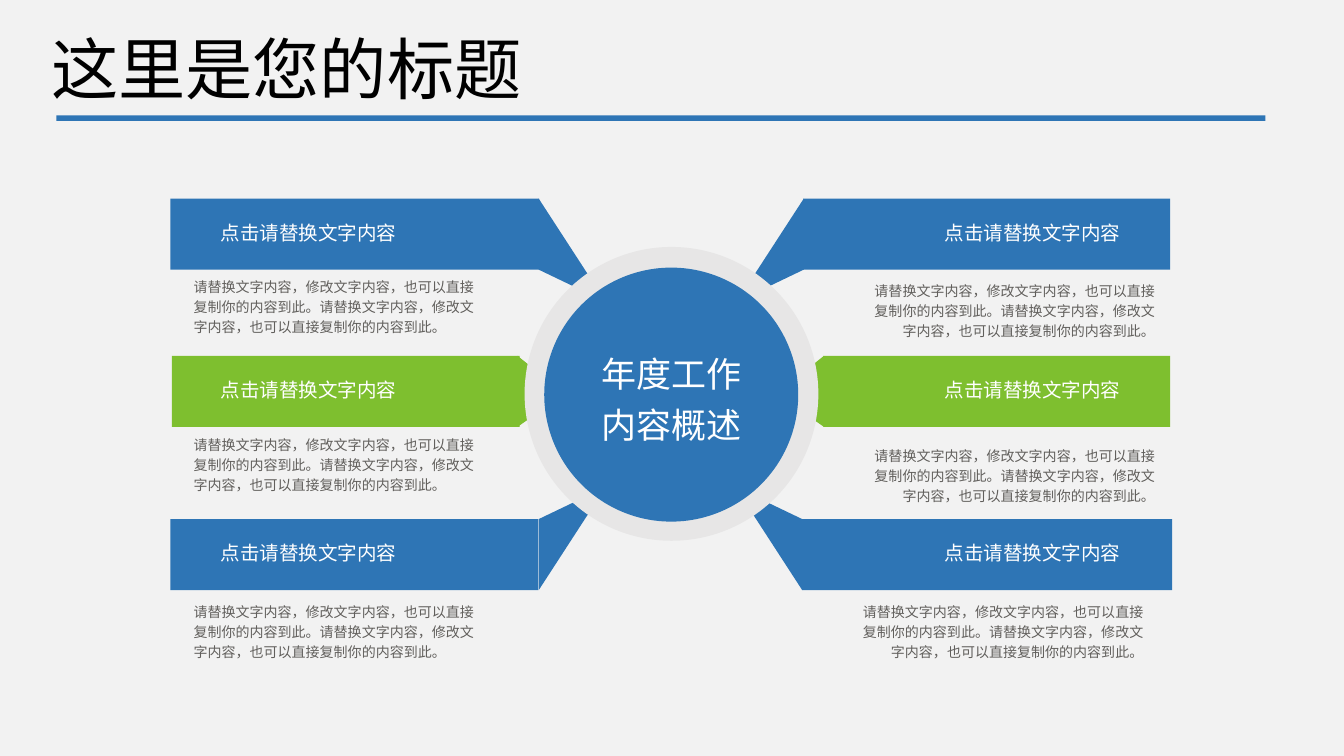
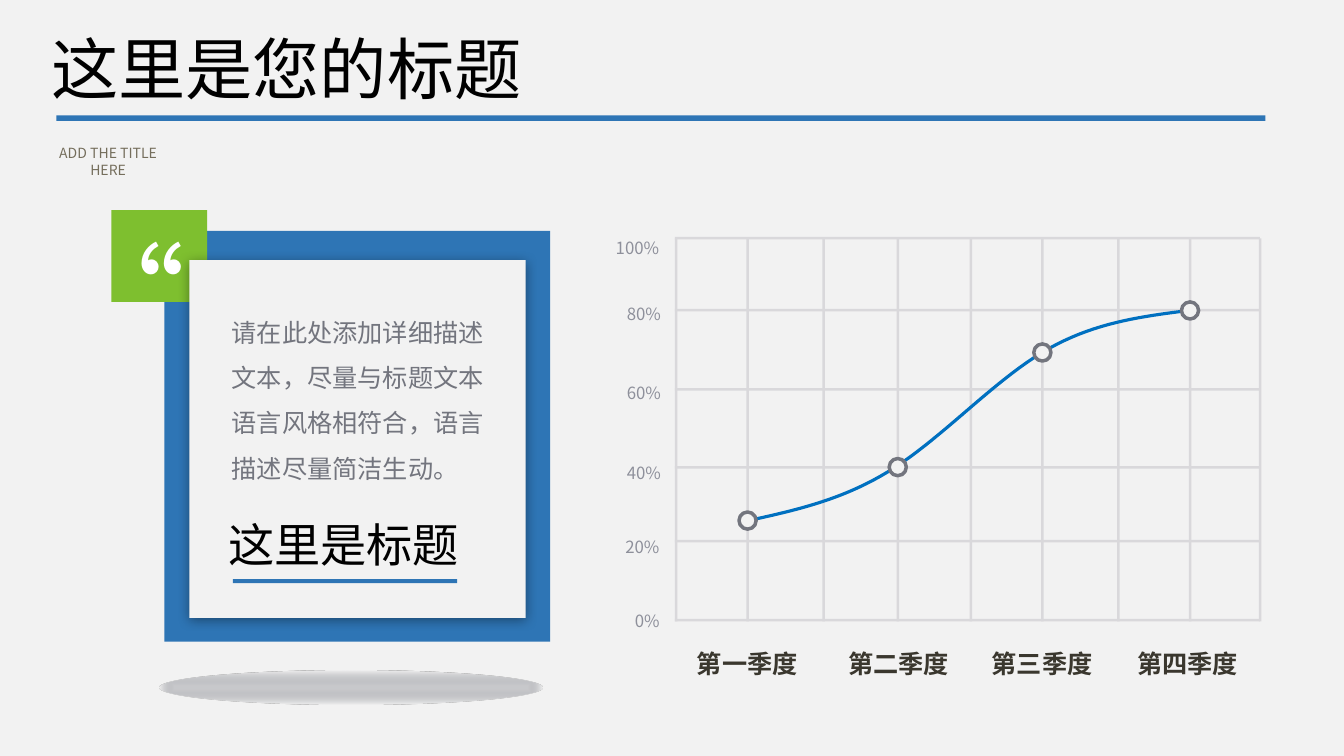
from lxml import etree
from pptx import Presentation
from pptx.chart.data import CategoryChartData
from pptx.dml.color import RGBColor
from pptx.enum import chart as ch, lang, shapes, text
from pptx.oxml import ns
from pptx.util import Inches, Pt

FONT = "Noto Sans CJK SC"
HUES = {
    "back": "F2F2F2", "blue": "2E75B5", "green": "7EBF2F", "ring": "E7E6E6",
    "white": "FFFFFF", "black": "000000", "body": "615F5C", "tag": "756E5C",
    "slate": "73757E", "grid": "D9D8DB", "scale": "8E909B", "term": "3A372E",
    "curve": "0070C0",
}
TITLE = "这里是您的标题"

LABEL = "点击请替换文字内容"
BODY = "请替换文字内容，修改文字内容，也可以直接复制你的内容到此。" * 2
HUB = ["年度工作", "内容概述"]
BAND_H = 1.41
STEEP = [(10.69, 0), (11.82, 1.74), (11.67, 1.88), (10.69, BAND_H)]
BLUNT = [(10.27, 0), (11.03, 0.61), (11.03, 0.88), (10.27, BAND_H)]
RISING = [(x, BAND_H - y) for x, y in STEEP]
ROWS = [
    {"top": 3.94, "hue": "blue", "tip": STEEP, "axis": 26.64,
     "band": {"l": (3.38, 10.7), "r": (15.94, 23.22)},
     "note": {"l": (3.84, 5.57), "r": (17.09, 5.65)}},
    {"top": 7.06, "hue": "green", "tip": BLUNT, "axis": 26.62,
     "band": {"l": (3.41, 10.31), "r": (16.34, 23.22)},
     "note": {"l": (3.84, 8.7), "r": (17.09, 8.92)}},
    {"top": 10.3, "hue": "blue", "tip": RISING, "axis": 26.61,
     "band": {"l": (3.38, 10.68), "r": (15.92, 23.26)},
     "note": {"l": (3.84, 12.02), "r": (16.86, 12.02)}},
]

TAG = "ADD THE TITLE HERE"
QUOTE = "请在此处添加详细描述文本，尽量与标题文本语言风格相符合，语言描述尽量简洁生动。"
NAME = "这里是标题"
TERMS = [
    ("第一季度", 0.26, 13.73), ("第二季度", 0.4, 16.73),
    ("第三季度", 0.7, 19.58), ("第四季度", 0.81, 22.47),
]
SCALE = [
    ("100%", 12.12, 4.47), ("80%", 12.34, 5.78), ("60%", 12.34, 7.35),
    ("40%", 12.34, 8.93), ("20%", 12.31, 10.4), ("0%", 12.5, 11.86),
]
LEVELS = [4.7, 6.13, 7.7, 9.25, 10.71, 12.28]
COLUMNS = [13.39, 14.81, 16.32, 17.79, 19.24, 20.66, 22.17, 23.59, 24.98]
RULE = 0.05
FRAME = (13.0, 4.3, 12.4, 8.4)
PLOT = (13.4, 4.72, 11.65, 7.58)
DOT = 0.34

ALIGN = {"l": text.PP_ALIGN.LEFT, "c": text.PP_ALIGN.CENTER, "r": text.PP_ALIGN.RIGHT}
ANCHOR = {"t": text.MSO_ANCHOR.TOP, "m": text.MSO_ANCHOR.MIDDLE}
KIND = shapes.MSO_SHAPE


def hue(key):
    return RGBColor.from_string(HUES[key])


def lens(at):
    return [Inches(v) for v in at]


def write(box, words, size, color, align="l", anchor="t", pad=(0, 0), gap=1, wrap=True, bold=False):
    frame = box.text_frame
    frame.word_wrap = wrap
    frame.auto_size = text.MSO_AUTO_SIZE.NONE
    frame.vertical_anchor = ANCHOR[anchor]
    frame.margin_left = frame.margin_right = Inches(pad[0])
    frame.margin_top = frame.margin_bottom = Inches(pad[1])
    lines = [words] if isinstance(words, str) else words
    for n, line in enumerate(lines):
        para = frame.add_paragraph() if n else frame.paragraphs[0]
        para.alignment = ALIGN[align]
        para.line_spacing = gap
        para.space_before = Pt(0)
        run = para.add_run()
        run.text = line
        font = run.font
        font.name, font.size, font.bold = FONT, Pt(size), bold
        font.color.rgb = hue(color)
        font.language_id = lang.MSO_LANGUAGE_ID.SIMPLIFIED_CHINESE
        face = font._element.find(ns.qn("a:latin"))
        face.addnext(etree.Element(ns.qn("a:ea"), typeface=FONT))


def label(slide, at, words, **form):
    write(slide.shapes.add_textbox(*lens(at)), words, **form)


def paint(shape, fill):
    shape.shadow.inherit = False
    shape.fill.solid()
    shape.fill.fore_color.rgb = hue(fill)
    shape.line.fill.background()
    return shape


def block(slide, at, fill, kind=KIND.RECTANGLE):
    return paint(slide.shapes.add_shape(kind, *lens(at)), fill)


def outline(slide, points, fill):
    spots = [lens(p) for p in points]
    pen = slide.shapes.build_freeform(*spots[0])
    pen.add_line_segments(spots[1:], close=True)
    return paint(pen.convert_to_shape(), fill)


def base(deck):
    slide = deck.slides.add_slide(deck.slide_layouts[5])
    title = slide.shapes.title
    title.left, title.top, title.width, title.height = lens((0.95, 0.62, 9.46, 1.45))
    write(title, TITLE, 96, "black", align="c", anchor="m", pad=(0.06, 0.06), wrap=False)
    block(slide, (1.12, 2.29, 23.99, 0.11), "blue")
    return slide


def side(slide, row, align):
    right = align == "r"
    top = row["top"]
    start, end = row["band"][align]
    block(slide, (start, top, end - start, BAND_H), row["hue"])
    tip = [(row["axis"] - x if right else x, top + y) for x, y in row["tip"]]
    outline(slide, tip, row["hue"])
    label(slide, (16.51 if right else 4.38, top + 0.39, 5.72, 0.5), LABEL,
          size=27.9, color="white", align=align, gap=1.1)
    label(slide, (*row["note"][align], 5.83 if right else 5.72, 0.98), BODY,
          size=20, color="body", align=align, anchor="m", gap=1.2)


def summary(deck):
    slide = base(deck)
    for align in "lr":
        for row in ROWS:
            side(slide, row, align)
    block(slide, (10.41, 4.9, 5.83, 5.83), "ring", KIND.OVAL)
    block(slide, (10.8, 5.31, 5.04, 5.04), "blue", KIND.OVAL)
    label(slide, (11.55, 6.97, 3.57, 1.72), HUB, size=50, color="white",
          align="c", anchor="m", pad=(0.09, 0.09), gap=1.2)


def glow(shape):
    old = shape.element.spPr.find(ns.qn("a:solidFill"))
    old.addnext(etree.fromstring(
        f'<a:gradFill {ns.nsdecls("a")}><a:gsLst>'
        f'<a:gs pos="11000"><a:srgbClr val="{HUES["slate"]}"><a:alpha val="33000"/></a:srgbClr></a:gs>'
        f'<a:gs pos="100000"><a:srgbClr val="{HUES["back"]}"/></a:gs></a:gsLst>'
        '<a:path path="shape"><a:fillToRect l="50000" t="50000" r="50000" b="50000"/></a:path>'
        '</a:gradFill>'))
    shape.element.spPr.remove(old)


def shade(shape):
    fx = shape.element.spPr.find(ns.qn("a:effectLst"))
    fx.append(etree.fromstring(
        f'<a:outerShdw {ns.nsdecls("a")} blurRad="{Pt(17)}" dist="{Pt(3)}" dir="5400000" '
        f'algn="ctr" rotWithShape="0"><a:srgbClr val="{HUES["black"]}">'
        '<a:alpha val="40000"/></a:srgbClr></a:outerShdw>'))


def card(slide):
    block(slide, (3.26, 4.58, 7.66, 8.15), "blue")
    block(slide, (2.21, 4.17, 1.9, 1.82), "green")
    label(slide, (1.32, 4.37, 2.44, 2.91), "“", size=166, color="white",
          align="c", anchor="m", pad=(0.06, 0.06), wrap=False)
    glow(block(slide, (3.16, 13.31, 7.6, 0.67), "slate", KIND.OVAL))
    shade(block(slide, (3.76, 5.16, 6.67, 7.1), "back"))
    label(slide, (4.45, 10.19, 4.74, 1.22), NAME, size=66, color="black",
          align="c", anchor="m", pad=(0.06, 0.06), wrap=False)
    block(slide, (4.62, 11.49, 4.45, 0.08), "blue")
    label(slide, (4.5, 5.94, 5.48, 3.74), QUOTE, size=36, color="slate",
          pad=(0.1, 0.05), gap=1.5)


def stroke(line, color, width):
    line.color.rgb = hue(color)
    line.width = Pt(width)


def clear():
    return etree.fromstring(
        f'<c:spPr {ns.nsdecls("c", "a")}><a:noFill/><a:ln><a:noFill/></a:ln></c:spPr>')


def fit(chart):
    root = chart.element
    area = root.find(".//" + ns.qn("c:plotArea"))
    old = area.find(ns.qn("c:layout"))
    if old is not None:
        area.remove(old)
    left, top, wide, high = FRAME
    x, y, w, h = PLOT
    parts = {"x": (x - left) / wide, "y": (y - top) / high, "w": w / wide, "h": h / high}
    tags = "".join(f'<c:{k} val="{v:.4f}"/>' for k, v in parts.items())
    area.insert(0, etree.fromstring(
        f'<c:layout {ns.nsdecls("c")}><c:manualLayout><c:layoutTarget val="inner"/>'
        f'<c:xMode val="edge"/><c:yMode val="edge"/>{tags}</c:manualLayout></c:layout>'))
    area.append(clear())
    root.find(ns.qn("c:chart")).addnext(clear())


def curve(slide):
    data = CategoryChartData(number_format="0%")
    data.categories = [term for term, _, _ in TERMS]
    data.add_series("季度", [value for _, value, _ in TERMS])
    chart = slide.shapes.add_chart(ch.XL_CHART_TYPE.LINE, *lens(FRAME), data).chart
    chart.has_legend = chart.has_title = False
    chart.font.name, chart.font.size = FONT, Pt(24)
    chart.font.color.rgb = hue("scale")
    plot = chart.plots[0]
    plot.vary_by_categories = False
    line = plot.series[0]
    line.smooth = True
    line.marker.style = ch.XL_MARKER_STYLE.NONE
    stroke(line.format.line, "curve", 4.5)
    for axis in (chart.category_axis, chart.value_axis):
        axis.has_major_gridlines = False
        axis.major_tick_mark = axis.minor_tick_mark = ch.XL_TICK_MARK.NONE
        axis.tick_label_position = ch.XL_TICK_LABEL_POSITION.NONE
        axis.format.line.fill.background()
    scale = chart.value_axis
    scale.minimum_scale, scale.maximum_scale, scale.major_unit = 0, 1, 0.2
    fit(chart)


def trend(slide):
    for level in LEVELS:
        block(slide, (13.39, level, 11.61, RULE), "grid")
    for column in COLUMNS:
        block(slide, (column, 4.73, RULE, 7.6), "grid")
    for words, x, y in SCALE:
        label(slide, (x, y, 1.1, 0.71), words, size=24, color="scale",
              pad=(0.1, 0.05), gap=1.5, wrap=False)
    curve(slide)
    x, y, w, h = PLOT
    for n, (term, value, left) in enumerate(TERMS):
        label(slide, (left, 12.52, 2.6, 1.01), term, size=36, color="term",
              pad=(0.1, 0.05), gap=1.5, bold=True)
        mid, level = COLUMNS[2 * n + 1] + RULE / 2, y + h * (1 - value)
        dot = block(slide, (mid - DOT / 2, level - DOT / 2, DOT, DOT), "back", KIND.OVAL)
        stroke(dot.line, "slate", 5)


def growth(deck):
    slide = base(deck)
    label(slide, (1.07, 2.98, 2.15, 0.45), TAG, size=20, color="tag",
          align="c", anchor="m", pad=(0.06, 0.06))
    card(slide)
    trend(slide)


def main():
    deck = Presentation()
    deck.slide_width, deck.slide_height = lens((26.67, 15))
    ground = deck.slide_master.background.fill
    ground.solid()
    ground.fore_color.rgb = hue("back")
    summary(deck)
    growth(deck)
    deck.save("out.pptx")


if __name__ == "__main__":
    main()
